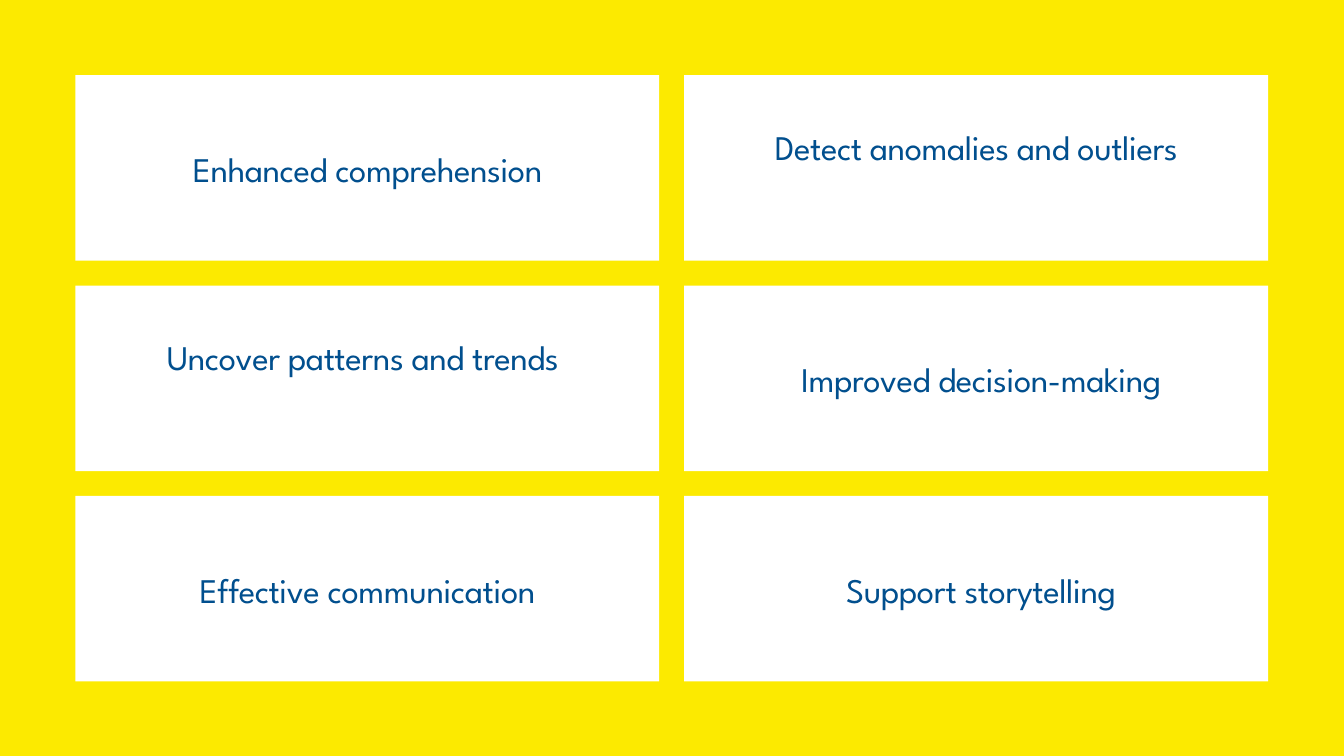
"""Build a slide of six white cards, each naming a benefit of data visualisation."""
from pptx import Presentation
from pptx.dml.color import RGBColor
from pptx.enum import shapes, text
from pptx.util import Pt

YELLOW = RGBColor(0xFC, 0xEA, 0x00)
WHITE = RGBColor(0xFF, 0xFF, 0xFF)
BLUE = RGBColor(0x01, 0x4F, 0x8E)
FONT = "League Spartan"

# label, inset from the card's left edge, height of the label in lines
CARDS = [
    [("Enhanced comprehension", 68, 1), ("Detect anomalies and outliers", 68, 2)],
    [("Uncover patterns and trends", 61, 2), ("Improved decision-making", 75, 1)],
    [("Effective communication", 68, 1), ("Support storytelling", 75, 1)],
]

PX = 9144
PAGE_WIDTH, PAGE_HEIGHT = 2000, 1125
MARGIN, GAP = 112, 37
CARD_WIDTH, CARD_HEIGHT = 869, 276
LABEL_WIDTH, LINE_HEIGHT = 734, 66
LABEL_MIDDLE = 136


def px(*lengths):
    return [length * PX for length in lengths]


def add_card(page, left, top):
    card = page.shapes.add_shape(
        shapes.MSO_SHAPE.RECTANGLE, *px(left, top, CARD_WIDTH, CARD_HEIGHT))
    card.shadow.inherit = False
    card.fill.solid()
    card.fill.fore_color.rgb = WHITE
    card.line.fill.background()


def add_label(page, label, left, top, height):
    box = page.shapes.add_textbox(*px(left, top, LABEL_WIDTH, height))
    frame = box.text_frame
    frame.margin_left = frame.margin_right = frame.margin_top = frame.margin_bottom = 0
    frame.word_wrap = True
    frame.auto_size = text.MSO_AUTO_SIZE.SHAPE_TO_FIT_TEXT
    frame.text = label
    paragraph = frame.paragraphs[0]
    paragraph.alignment = text.PP_ALIGN.CENTER
    paragraph.line_spacing = Pt(48.1)
    span = paragraph.runs[0]
    span.font.name = FONT
    span.font.size = Pt(37)
    span.font.color.rgb = BLUE
    span.font._element.set("spc", "-40")


def main():
    deck = Presentation()
    deck.slide_width, deck.slide_height = px(PAGE_WIDTH, PAGE_HEIGHT)
    page = deck.slides.add_slide(deck.slide_layouts[6])
    page.background.fill.solid()
    page.background.fill.fore_color.rgb = YELLOW
    for row, cards in enumerate(CARDS):
        top = MARGIN + row * (CARD_HEIGHT + GAP)
        for column, (label, inset, lines) in enumerate(cards):
            left = MARGIN + column * (CARD_WIDTH + GAP)
            height = lines * LINE_HEIGHT
            add_card(page, left, top)
            add_label(page, label, left + inset, top + LABEL_MIDDLE - height // 2, height)
    deck.save("out.pptx")


if __name__ == "__main__":
    main()
